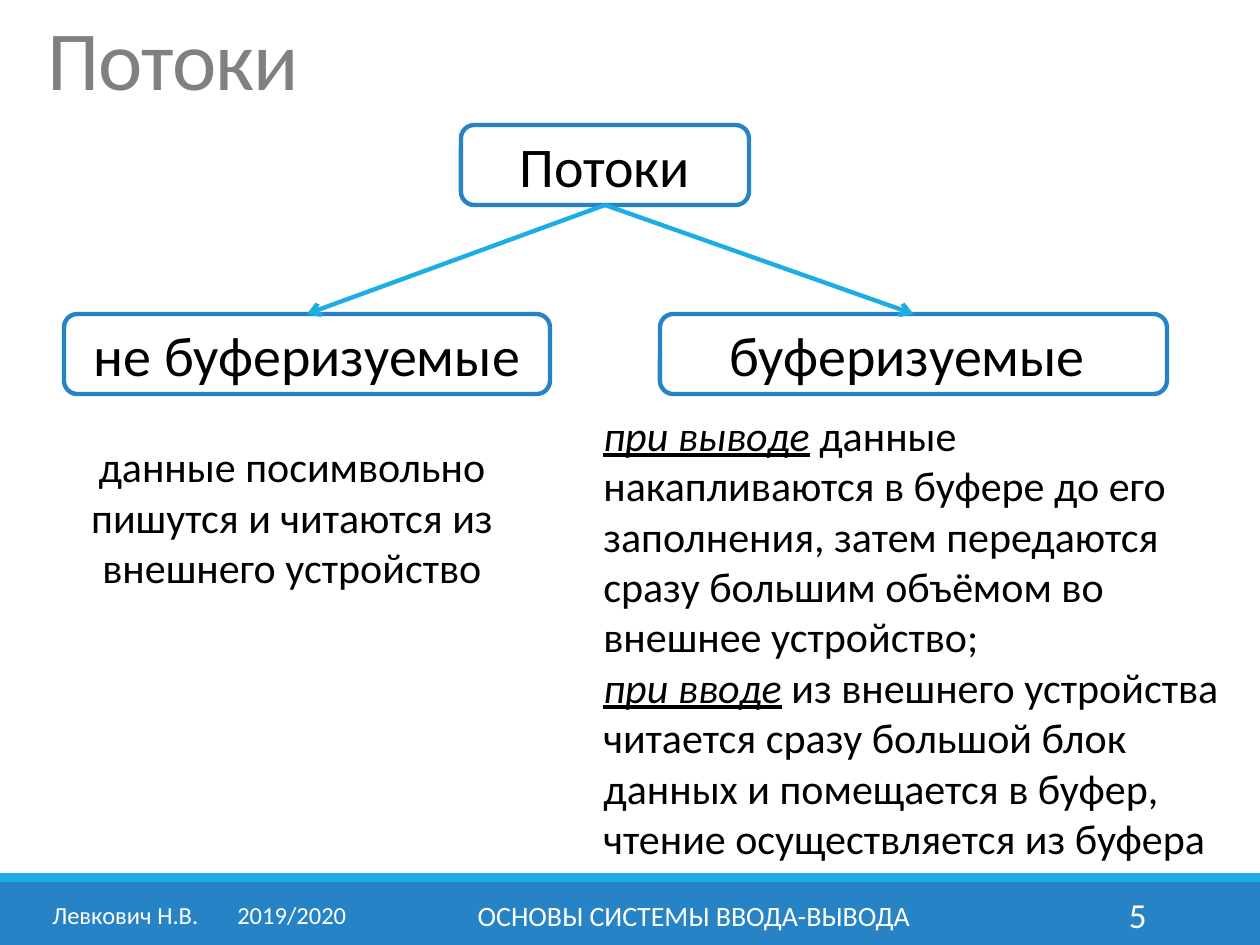
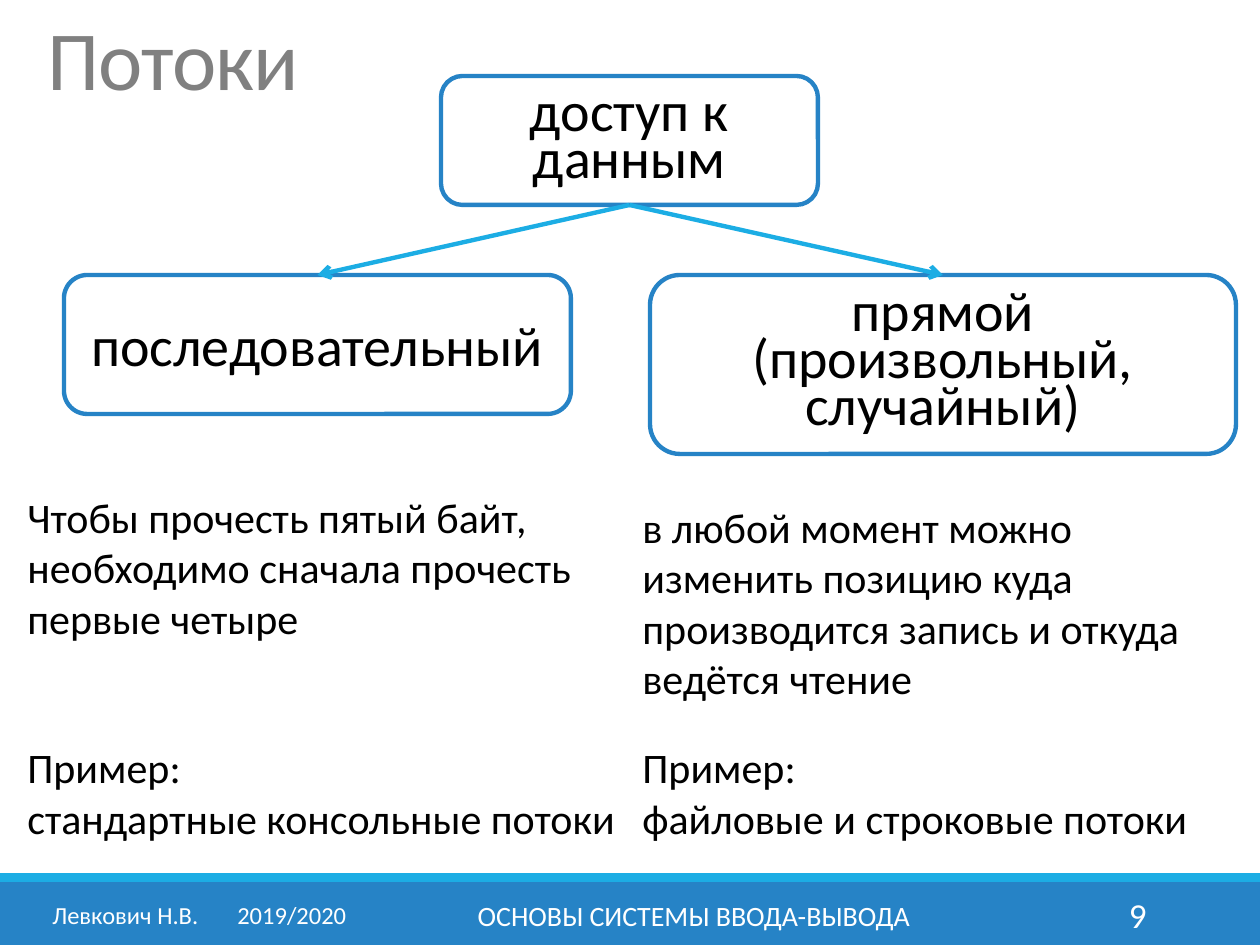
from dataclasses import dataclass, field
from typing import Any

from lxml.etree import SubElement
from pptx import Presentation
from pptx.dml.color import RGBColor
from pptx.enum.shapes import MSO_CONNECTOR as Connector, MSO_SHAPE as Preset
from pptx.enum.text import MSO_ANCHOR as Anchor, PP_ALIGN as Align
from pptx.oxml.ns import qn
from pptx.util import Emu, Pt

EMU_PER_PIXEL = 914400 / 126


def px(length: float) -> Emu:
    return Emu(round(length * EMU_PER_PIXEL))


@dataclass(frozen=True)
class Theme:
    font: str = "Calibri"
    blue: RGBColor = RGBColor(0x26, 0x83, 0xC6)
    cyan: RGBColor = RGBColor(0x1C, 0xAD, 0xE4)
    grey: RGBColor = RGBColor(0x80, 0x80, 0x80)
    black: RGBColor = RGBColor(0, 0, 0)
    white: RGBColor = RGBColor(255, 255, 255)
    title: int = 48
    node: int = 32
    body: int = 24
    number: int = 20
    course: int = 16
    author: int = 14
    stroke: float = 2.5


THEME = Theme()
EMPHASIS = {"italic": True, "underline": True}


@dataclass(frozen=True)
class Area:
    left: int
    top: int
    width: int
    height: int

    def emu(self) -> tuple[Emu, ...]:
        return tuple(px(v) for v in (self.left, self.top, self.width, self.height))


@dataclass(frozen=True)
class Span:
    text: str
    font: dict[str, Any] = field(default_factory=dict)


@dataclass(frozen=True)
class Label:
    area: Area
    spans: tuple[Span, ...]
    size: int = THEME.body
    color: RGBColor = THEME.black
    paragraph: dict[str, Any] = field(default_factory=dict)
    anchor: Anchor = Anchor.MIDDLE


@dataclass(frozen=True)
class Node:
    area: Area
    text: str
    spacing: float = 1.0


@dataclass(frozen=True)
class Tree:
    number: int
    root: Node
    branches: tuple[Node, ...]
    notes: tuple[Label, ...]


def apply(target: Any, values: dict[str, Any]) -> None:
    for name, value in values.items():
        setattr(target, name, value)


def write(shape: Any, label: Label) -> Any:
    frame = shape.text_frame
    apply(frame, {"word_wrap": True, "vertical_anchor": label.anchor})
    paragraph = frame.paragraphs[0]
    apply(paragraph, {"alignment": Align.LEFT} | label.paragraph)
    base = {"name": THEME.font, "size": Pt(label.size)}
    for span in label.spans:
        for index, line in enumerate(span.text.split("\n")):
            if index:
                paragraph.add_line_break()
            if line:
                run = paragraph.add_run()
                run.text = line
                apply(run.font, base | span.font)
                run.font.color.rgb = label.color
    return paragraph


def add_label(slide: Any, label: Label) -> Any:
    return write(slide.shapes.add_textbox(*label.area.emu()), label)


def add_filled(slide: Any, preset: Preset, area: Area, color: RGBColor) -> Any:
    shape = slide.shapes.add_shape(preset, *area.emu())
    shape.shadow.inherit = False
    shape.fill.solid()
    shape.fill.fore_color.rgb = color
    shape.line.fill.background()
    return shape


def add_node(slide: Any, node: Node) -> Any:
    shape = add_filled(slide, Preset.ROUNDED_RECTANGLE, node.area, THEME.white)
    shape.line.color.rgb = THEME.blue
    shape.line.width = Pt(THEME.stroke)
    layout = {"alignment": Align.CENTER, "line_spacing": node.spacing}
    write(shape, Label(node.area, (Span(node.text),), THEME.node, paragraph=layout))
    return shape


def add_arrow(slide: Any, parent: Any, child: Any) -> None:
    arrow = slide.shapes.add_connector(Connector.STRAIGHT, 0, 0, 0, 0)
    arrow.begin_connect(parent, 2)
    arrow.end_connect(child, 0)
    arrow.line.color.rgb = THEME.cyan
    arrow.line.width = Pt(THEME.stroke)
    SubElement(arrow.line._get_or_add_ln(), qn("a:tailEnd"), type="arrow")
    SubElement(arrow._element.spPr, qn("a:effectLst"))


def add_frame(slide: Any, number: int) -> None:
    add_filled(slide, Preset.RECTANGLE, Area(0, 882, 1260, 63), THEME.blue)
    add_filled(slide, Preset.RECTANGLE, Area(0, 873, 1260, 9), THEME.cyan)
    title = add_label(slide, Label(
        Area(35, 16, 1191, 110), (Span("Потоки"),), THEME.title, THEME.grey,
        {"line_spacing": 0.85}, Anchor.TOP))
    title.runs[0].font._element.set("spc", "-50")
    footers = (
        (40, 329, "Левкович Н.В.\t2019/2020", THEME.author, Align.LEFT),
        (381, 626, "ОСНОВЫ СИСТЕМЫ ВВОДА-ВЫВОДА", THEME.course, Align.CENTER),
        (1023, 136, str(number), THEME.number, Align.RIGHT),
    )
    author, *_ = [
        add_label(slide, Label(Area(left, 890, width, 50), (Span(text),), size,
                               THEME.white, {"alignment": align}))
        for left, width, text, size, align in footers
    ]
    tabs = SubElement(author._p.get_or_add_pPr(), qn("a:tabLst"))
    SubElement(tabs, qn("a:tab"), pos=str(px(185)), algn="l")


def add_tree(presentation: Any, tree: Tree) -> None:
    slide = presentation.slides.add_slide(presentation.slide_layouts[6])
    add_frame(slide, tree.number)
    root = add_node(slide, tree.root)
    for branch in tree.branches:
        add_arrow(slide, root, add_node(slide, branch))
    for note in tree.notes:
        add_label(slide, note)


TREES = (
    Tree(
        5,
        Node(Area(461, 125, 288, 80), "Потоки"),
        (
            Node(Area(64, 314, 486, 80), "не буферизуемые"),
            Node(Area(660, 314, 507, 80), "буферизуемые "),
        ),
        (
            Label(Area(54, 363, 476, 307),
                  (Span("данные посимвольно пишутся и читаются из внешнего устройство"),),
                  paragraph={"alignment": Align.CENTER}),
            Label(Area(591, 413, 655, 446), (
                Span("при выводе", EMPHASIS),
                Span(" данные накапливаются в буфере до его заполнения, затем "
                     "передаются сразу большим объёмом во внешнее устройство;\n"),
                Span("при вводе", EMPHASIS),
                Span(" из внешнего устройства читается сразу большой блок данных "
                     "и помещается в буфер, чтение осуществляется из буфера"),
            )),
        ),
    ),
    Tree(
        9,
        Node(Area(441, 76, 377, 129), "доступ к данным", 0.7),
        (
            Node(Area(64, 275, 507, 139), "последовательный"),
            Node(Area(650, 275, 586, 179), "прямой (произвольный,\nслучайный)", 0.7),
        ),
        (
            Label(Area(15, 403, 645, 328),
                  (Span("Чтобы прочесть пятый байт, необходимо сначала прочесть первые четыре"),)),
            Label(Area(630, 493, 615, 218),
                  (Span("в любой момент можно изменить позицию куда производится "
                        "запись и откуда ведётся чтение"),)),
            Label(Area(15, 731, 615, 122),
                  (Span("Пример:\nстандартные консольные потоки"),)),
            Label(Area(630, 731, 615, 122),
                  (Span("Пример:\nфайловые и строковые потоки "),)),
        ),
    ),
)


def main() -> None:
    presentation = Presentation()
    apply(presentation, {"slide_width": px(1260), "slide_height": px(945)})
    for tree in TREES:
        add_tree(presentation, tree)
    presentation.save("out.pptx")


main()
